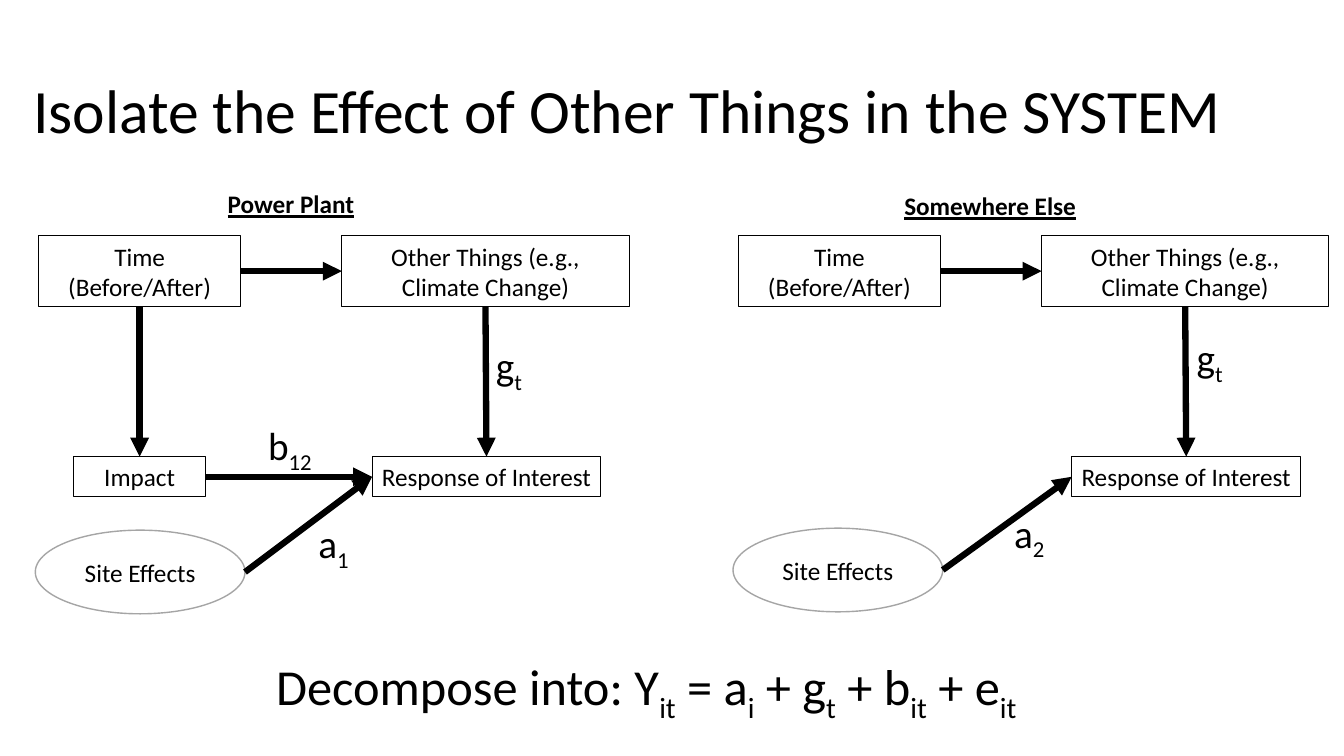
from lxml import etree
from pptx import Presentation
from pptx.dml.color import RGBColor
from pptx.enum.shapes import MSO_CONNECTOR as Conn, MSO_SHAPE as Kind
from pptx.enum.text import MSO_ANCHOR as Anchor, MSO_AUTO_SIZE as Auto, PP_ALIGN as Align
from pptx.oxml.ns import qn
from pptx.util import Inches, Pt

TOP, LEFT, BOTTOM, RIGHT = range(4)


def color(code):
    return RGBColor.from_string(code)


def write(frame, text, size=18, font="Calibri", ink="000000", bold=None,
          line=None, align=Align.LEFT, anchor=Anchor.TOP, wrap=True,
          fit=Auto.SHAPE_TO_FIT_TEXT, space=None, inset=0.1):
    """Fill a text frame; every second part between bars is a subscript."""
    frame.word_wrap, frame.auto_size = wrap, fit
    frame.vertical_anchor = anchor
    frame.margin_left = frame.margin_right = Inches(inset)
    for i, row in enumerate(text.split("\n")):
        para = frame.add_paragraph() if i else frame.paragraphs[0]
        para.alignment = align
        if space:
            para.line_spacing = space
        for j, part in enumerate(row.split("|")):
            if not part:
                continue
            run = para.add_run()
            run.text = part
            face = run.font
            face.name, face.size = font, Pt(size)
            face.bold, face.underline = bold, line
            face.color.rgb = color(ink)
            if j % 2:
                run._r.get_or_add_rPr().set("baseline", "-25000")


class Canvas:
    ink = "000000"
    edge = "A5A5A5"
    paper = "FFFFFF"

    def __init__(self, deck):
        self.slide = deck.slides.add_slide(deck.slide_layouts[5])
        self.items = self.slide.shapes

    def title(self, text, x, y, w, h):
        head = self.items.title
        head.left, head.top = Inches(x), Inches(y)
        head.width, head.height = Inches(w), Inches(h)
        write(head.text_frame, text, size=44, anchor=Anchor.MIDDLE,
              fit=Auto.NONE, space=0.9)

    def label(self, text, x, y, w, h, **style):
        box = self.items.add_textbox(Inches(x), Inches(y), Inches(w), Inches(h))
        write(box.text_frame, text, wrap=False, **style)

    def shape(self, kind, x, y, w, h, edge, weight):
        item = self.items.add_shape(kind, Inches(x), Inches(y), Inches(w), Inches(h))
        item.shadow.inherit = False
        item.line.color.rgb = color(edge)
        item.line.width = Pt(weight)
        return item

    def box(self, text, x, y, w, h, **style):
        item = self.shape(Kind.RECTANGLE, x, y, w, h, self.ink, 0.75)
        item.fill.background()
        write(item.text_frame, text, align=Align.CENTER, **style)
        return item

    def oval(self, text, x, y, w, h):
        item = self.shape(Kind.OVAL, x, y, w, h, self.edge, 1)
        item.fill.solid()
        item.fill.fore_color.rgb = color(self.paper)
        write(item.text_frame, text, align=Align.CENTER, anchor=Anchor.MIDDLE,
              fit=Auto.NONE)
        return item

    def arrow(self, start, side, end, goal):
        """Link two shapes; an oval start is placed at its right tip."""
        tip = start.left + start.width, start.top + start.height // 2
        link = self.items.add_connector(Conn.STRAIGHT, *tip, end.left, end.top)
        if start.auto_shape_type != Kind.OVAL:
            link.begin_connect(start, side)
        link.end_connect(end, goal)
        link.line.color.rgb = color(self.ink)
        link.line.width = Pt(4.5)
        etree.SubElement(link.line._get_or_add_ln(), qn("a:tailEnd"), type="triangle")
        etree.SubElement(link._element.spPr, qn("a:effectLst"))

    def site(self, x, oval_x, oval_y):
        """Draw the part of the diagram that both sites share."""
        time = self.box("Time\n(Before/After)", x, 2.34, 2.01, 0.7)
        other = self.box("Other Things (e.g., Climate Change)", x + 3.01, 2.34, 2.85, 0.7)
        # Narrow insets keep this text on one line
        reply = self.box("Response of Interest", x + 3.31, 4.53, 2.27, 0.4, inset=0.04)
        local = self.oval("Site Effects", oval_x, oval_y, 2.08, 0.83)
        self.arrow(time, RIGHT, other, LEFT)
        self.arrow(other, BOTTOM, reply, TOP)
        self.arrow(local, RIGHT, reply, LEFT)
        return time, reply


def main():
    deck = Presentation()
    deck.slide_width, deck.slide_height = Inches(13.33), Inches(7.5)
    page = Canvas(deck)
    page.title("Isolate the Effect of Other Things in the SYSTEM", 0.23, 0.4, 12.18, 1.45)

    # Site diagrams
    time, reply = page.site(0.38, 0.35, 5.26)
    page.site(7.32, 7.27, 5.24)

    # Impact, at the power plant only
    impact = page.box("Impact", 0.73, 4.53, 1.31, 0.4)
    page.arrow(time, BOTTOM, impact, TOP)
    page.arrow(impact, RIGHT, reply, LEFT)

    # Site headings
    page.label("Power Plant", 2.16, 1.82, 1.47, 0.4, bold=True, line=True)
    page.label("Somewhere Else", 8.87, 1.84, 1.92, 0.4, bold=True, line=True)

    # Effect symbols
    for text, x, y, w in [("a|1", 3.06, 5.1, 0.52), ("a|2", 9.96, 5, 0.52),
                          ("g|t", 4.82, 3.34, 0.47), ("g|t", 11.77, 3.26, 0.47),
                          ("b|12", 2.56, 4.13, 0.68)]:
        page.label(text, x, y, w, 0.57, size=28)

    # Model equation
    page.label("Decompose into: Y|it| = a|i| + g|t| + b|it| + e|it",
               2.64, 6.45, 7.69, 0.71, size=36)
    deck.save("out.pptx")


if __name__ == "__main__":
    main()
